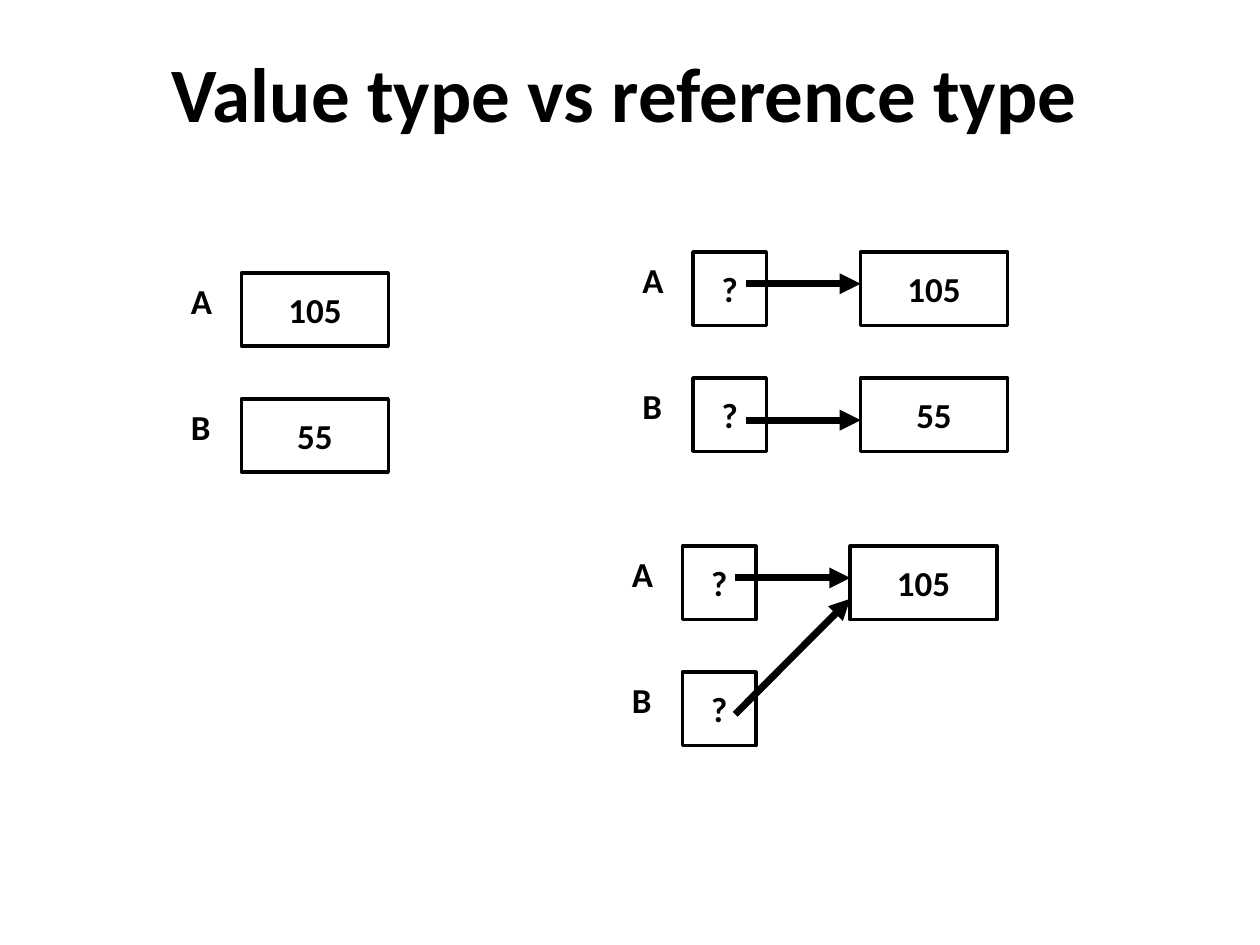
from lxml.etree import SubElement
from pptx import Presentation
from pptx.dml.color import RGBColor
from pptx.enum.shapes import MSO_CONNECTOR, MSO_SHAPE
from pptx.enum.text import MSO_ANCHOR, MSO_AUTO_SIZE, PP_ALIGN
from pptx.oxml.ns import qn
from pptx.util import Cm, Pt

BLACK = RGBColor(0, 0, 0)
WHITE = RGBColor(255, 255, 255)

ROW_PITCH = 2.54
BOX_HEIGHT = 1.48
VALUE_WIDTH = 2.96
BOX_OFFSET = 1.27
ARROW_OFFSET = 2.33
VALUE_OFFSET = 4.65
ARROW_DROPS = (0.64, 0.85)


def write_text(frame, text, size=20, align=PP_ALIGN.CENTER,
               anchor=MSO_ANCHOR.MIDDLE, wrap=False, fit=MSO_AUTO_SIZE.NONE):
    frame.word_wrap = wrap
    frame.auto_size = fit
    frame.vertical_anchor = anchor
    para = frame.paragraphs[0]
    para.alignment = align
    span = para.add_run()
    span.text = text
    span.font.name = "Calibri"
    span.font.size = Pt(size)
    span.font.bold = True
    span.font.color.rgb = BLACK


class DiagramPage:
    box_line = Pt(2)
    arrow_line = Pt(4)

    def __init__(self, deck):
        self.page = deck.slides.add_slide(deck.slide_layouts[5])
        self.page.background.fill.solid()
        self.page.background.fill.fore_color.rgb = WHITE

    def title(self, text, left, top, width, height):
        title = self.page.shapes.title
        title.left, title.top = Cm(left), Cm(top)
        title.width, title.height = Cm(width), Cm(height)
        write_text(title.text_frame, text, size=44, wrap=True)

    def label(self, text, left, top):
        box = self.page.shapes.add_textbox(Cm(left), Cm(top), Cm(1.06), Cm(1.11))
        write_text(box.text_frame, text, align=PP_ALIGN.LEFT, anchor=MSO_ANCHOR.TOP,
                   wrap=True, fit=MSO_AUTO_SIZE.SHAPE_TO_FIT_TEXT)

    def box(self, text, left, top, width):
        box = self.page.shapes.add_shape(
            MSO_SHAPE.RECTANGLE, Cm(left), Cm(top), Cm(width), Cm(BOX_HEIGHT))
        box.shadow.inherit = False
        box.fill.background()
        box.line.color.rgb = BLACK
        box.line.width = self.box_line
        write_text(box.text_frame, text)

    def arrow(self, start_x, start_y, end_x, end_y):
        arrow = self.page.shapes.add_connector(
            MSO_CONNECTOR.STRAIGHT, Cm(start_x), Cm(start_y), Cm(end_x), Cm(end_y))
        arrow.line.color.rgb = BLACK
        arrow.line.width = self.arrow_line
        SubElement(arrow.line._get_or_add_ln(), qn("a:tailEnd"), type="triangle")
        SubElement(arrow._element.spPr, qn("a:effectLst"))

    def variables(self, left, top, texts, width):
        for row, (name, text) in enumerate(zip("AB", texts)):
            row_top = top + row * ROW_PITCH
            self.label(name, left, row_top)
            self.box(text, left + BOX_OFFSET, row_top, width)

    def references(self, left, top, values, arrow_ends):
        self.variables(left, top, "??", BOX_HEIGHT)
        for row, value in enumerate(values):
            self.box(value, left + VALUE_OFFSET, top + row * ROW_PITCH, VALUE_WIDTH)
        for row, (drop, end) in enumerate(zip(ARROW_DROPS, arrow_ends)):
            self.arrow(left + ARROW_OFFSET, top + row * ROW_PITCH + drop,
                       left + VALUE_OFFSET, top + end)


def main():
    deck = Presentation()
    deck.slide_width, deck.slide_height = Cm(25.4), Cm(19.05)
    diagram = DiagramPage(deck)
    diagram.title("Value type vs reference type", 2.33, 1.06, 20.53, 1.57)
    diagram.variables(3.6, 5.5, ("105", "55"), VALUE_WIDTH)
    straight_ends = (ARROW_DROPS[0], ROW_PITCH + ARROW_DROPS[1])
    diagram.references(12.7, 5.08, ("105", "55"), straight_ends)
    shared_ends = (ARROW_DROPS[0], 1.06)
    diagram.references(12.49, 11.01, ("105",), shared_ends)
    deck.save("out.pptx")


if __name__ == "__main__":
    main()
